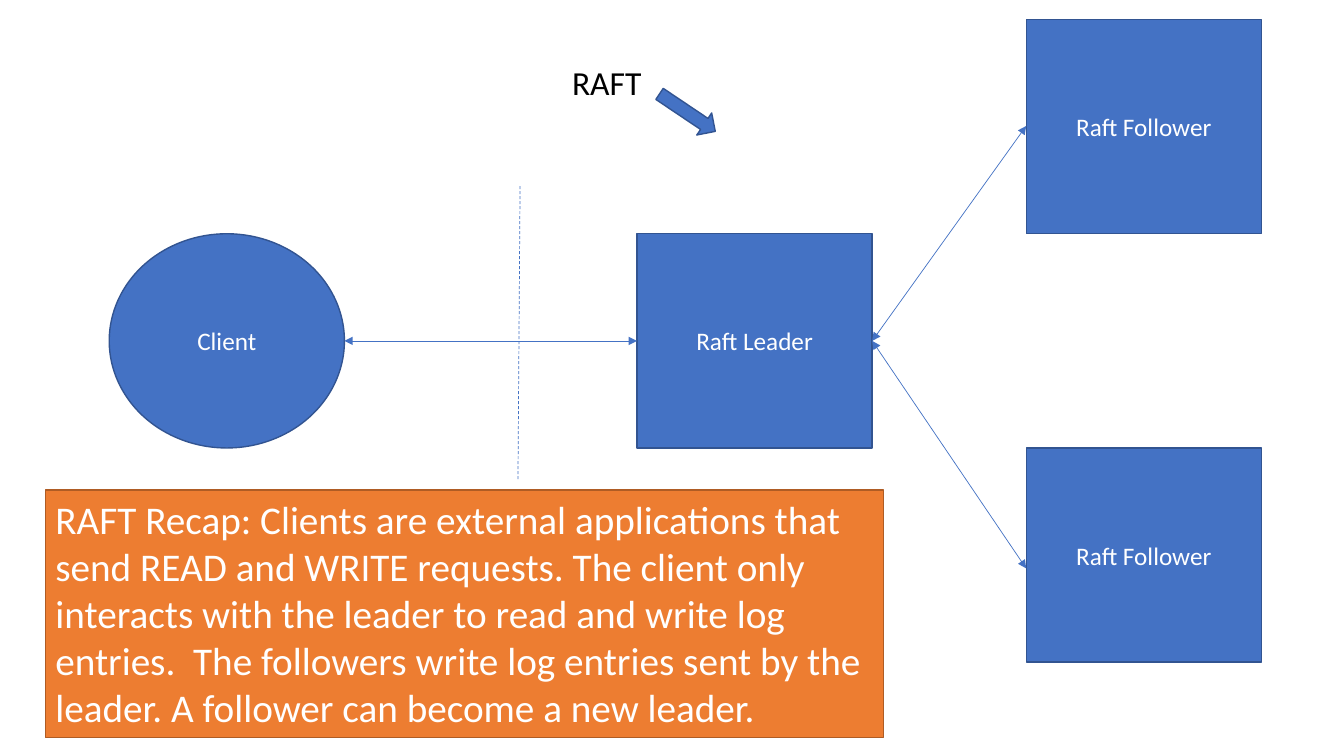
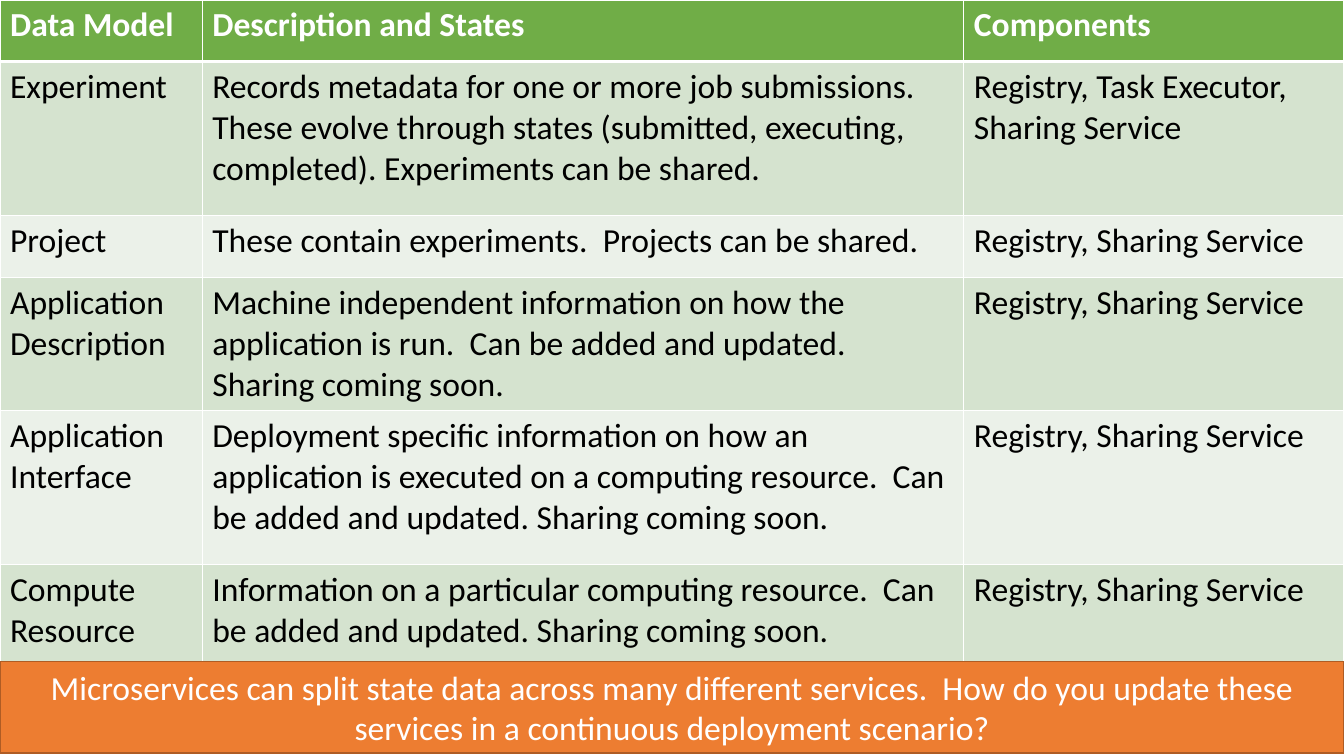
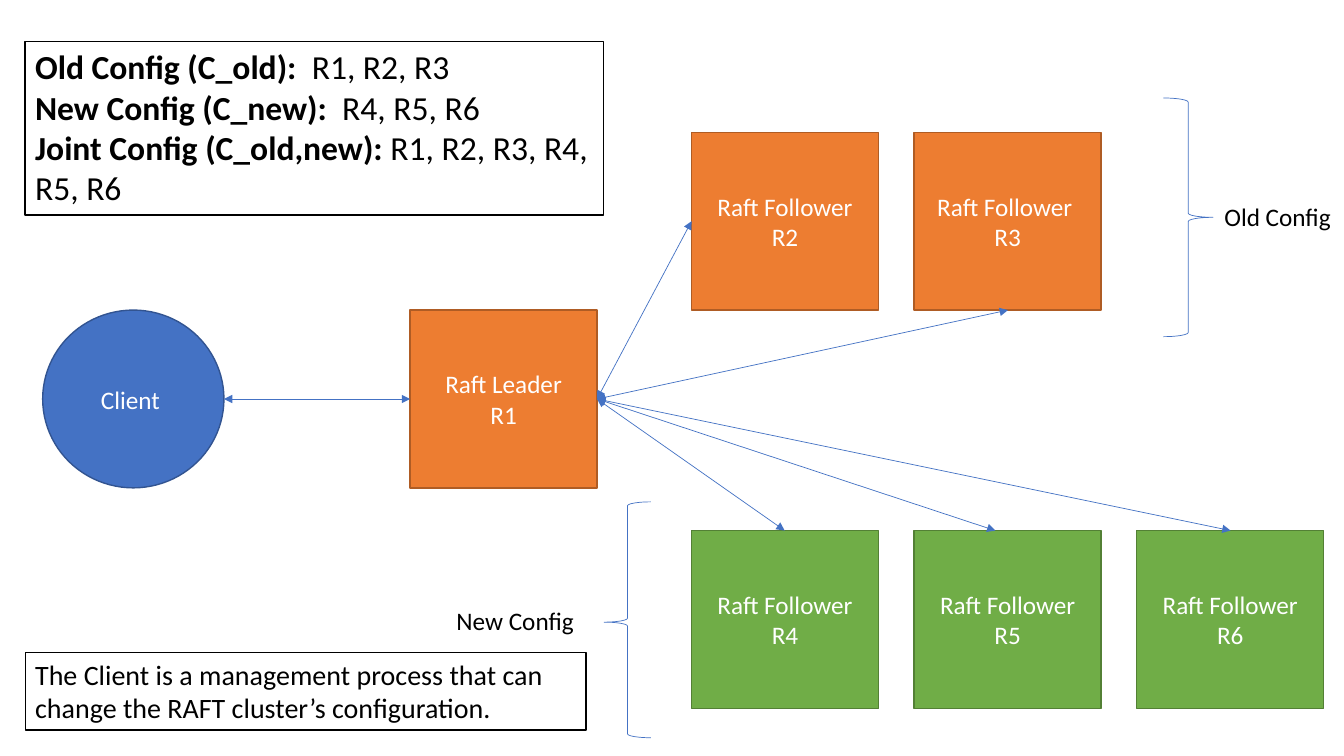
"""Build three slides on Raft clusters and the state of a service data model."""
from lxml.etree import SubElement
from pptx import Presentation
from pptx.dml.color import RGBColor
from pptx.enum.dml import MSO_LINE
from pptx.enum.shapes import MSO_CONNECTOR, MSO_SHAPE
from pptx.enum.text import MSO_ANCHOR, MSO_AUTO_SIZE, PP_ALIGN
from pptx.oxml.ns import qn
from pptx.util import Pt

COLORS = {
    "blue": "4472C4", "blue_edge": "325491",
    "orange": "ED7D31", "orange_edge": "AF5C24",
    "green": "70AD47", "green_edge": "538035",
    "white": "FFFFFF", "white_edge": "000000", "black": "000000",
    "band_dark": "D5E3CF", "band_light": "EBF1E9",
}
GROWING = {"auto_size": MSO_AUTO_SIZE.SHAPE_TO_FIT_TEXT, "vertical_anchor": MSO_ANCHOR.TOP}
CENTRED = {"vertical_anchor": MSO_ANCHOR.MIDDLE}
SHARING = "Registry, Sharing Service"
DATA_MODEL = [
    ("Data Model", "Description and States", "Components"),
    ("Experiment",
     "Records metadata for one or more job submissions.  These evolve through states "
     "(submitted, executing, completed). Experiments can be shared.",
     "Registry, Task Executor, Sharing Service"),
    ("Project", "These contain experiments.  Projects can be shared.", SHARING),
    ("Application Description",
     "Machine independent information on how the application is run.  "
     "Can be added and updated. Sharing coming soon.", SHARING),
    ("Application Interface",
     "Deployment specific information on how an application is executed on a computing "
     "resource.  Can be added and updated. Sharing coming soon.", SHARING),
    ("Compute Resource",
     "Information on a particular computing resource.  "
     "Can be added and updated. Sharing coming soon.", SHARING),
]


def color(name):
    return RGBColor.from_string(COLORS[name])


def apply_format(target, values):
    for name, value in values.items():
        setattr(target, name, value)


def write(text_frame, lines, size, color_name="white", align=PP_ALIGN.LEFT, bold=False):
    for index, line in enumerate(lines):
        paragraph = text_frame.paragraphs[0] if index == 0 else text_frame.add_paragraph()
        paragraph.alignment = align
        runs = [(line, bold)] if isinstance(line, str) else zip(line, (True, False))
        for text, is_bold in runs:
            run = paragraph.add_run()
            run.text = text
            apply_format(run.font, {"name": "Calibri", "size": Pt(size), "bold": is_bold})
            run.font.color.rgb = color(color_name)


def add_preset(slide, kind, box, fill="blue"):
    shape = slide.shapes.add_shape(kind, *map(Pt, box))
    shape.shadow.inherit = False
    shape.fill.solid()
    shape.fill.fore_color.rgb = color(fill)
    shape.line.color.rgb = color(fill + "_edge")
    shape.line.width = Pt(1)
    return shape


def add_node(slide, box, lines, fill="blue", kind=MSO_SHAPE.RECTANGLE):
    shape = add_preset(slide, kind, box, fill)
    apply_format(shape.text_frame, CENTRED)
    write(shape.text_frame, lines, 18, align=PP_ALIGN.CENTER)


def add_panel(slide, box, lines, size, fill="orange", text="white", align=PP_ALIGN.LEFT):
    shape = add_preset(slide, MSO_SHAPE.RECTANGLE, box, fill)
    apply_format(shape.text_frame, {"word_wrap": True, **GROWING})
    write(shape.text_frame, lines, size, text, align)


def add_label(slide, box, text, size):
    shape = slide.shapes.add_textbox(*map(Pt, box))
    apply_format(shape.text_frame, {"word_wrap": False, **GROWING})
    write(shape.text_frame, [text], size, "black")


def add_line(slide, start, end, dashed=False):
    line = slide.shapes.add_connector(MSO_CONNECTOR.STRAIGHT, *map(Pt, start + end))
    line.line.color.rgb = color("blue")
    line.line.width = Pt(0.5)
    properties = line.line._get_or_add_ln()
    if dashed:
        line.line.dash_style = MSO_LINE.DASH
    else:
        for tag in ("a:headEnd", "a:tailEnd"):
            SubElement(properties, qn(tag), type="triangle")
    SubElement(line._element.spPr, qn("a:effectLst"))


def add_brace(slide, kind, box, tip=0.5):
    brace = add_preset(slide, kind, box)
    brace.fill.background()
    brace.line.color.rgb = color("blue")
    brace.line.width = Pt(0.5)
    brace.adjustments[1] = tip


def set_borders(cell, widths):
    properties = cell._tc.get_or_add_tcPr()
    for position, (side, width) in enumerate(widths.items()):
        border = SubElement(properties, qn("a:ln" + side), w=str(Pt(width)))
        fill = SubElement(border, qn("a:solidFill"))
        SubElement(fill, qn("a:srgbClr"), val=COLORS["white"])
        properties.insert(position, border)


def add_data_table(slide, rows, widths, heights):
    frame = slide.shapes.add_table(len(rows), len(widths), 0, 0, Pt(sum(widths)), Pt(sum(heights)))
    table = frame.table
    for column, width in zip(table.columns, widths):
        column.width = Pt(width)
    for index, (row, height, texts) in enumerate(zip(table.rows, heights, rows)):
        row.height = Pt(height)
        header = index == 0
        fill = "green" if header else ("band_light", "band_dark")[index % 2]
        borders = {"L": 1, "R": 1, "T": 3 if index == 1 else 1, "B": 3 if header else 1}
        for cell, text in zip(row.cells, texts):
            cell.fill.solid()
            cell.fill.fore_color.rgb = color(fill)
            set_borders(cell, borders)
            write(cell.text_frame, [text], 24, "white" if header else "black", bold=header)


def build_recap(slide):
    width, height, top = 168, 153, 14
    middle, bottom = top + height, top + 2 * height
    client, leader, follower = 78, 455, 733
    center = middle + height / 2
    add_node(slide, (client, middle, width, height), ["Client"], kind=MSO_SHAPE.OVAL)
    add_node(slide, (leader, middle, width, height), ["Raft Leader"])
    for y in (top, bottom):
        add_node(slide, (follower, y, width, height), ["Raft Follower"])
    add_line(slide, (client + width, center), (leader, center))
    for y in (90, 406):
        add_line(slide, (leader + width, center), (follower, y))
    add_panel(slide, (32.5, 350, 598.5, 177), [
        "RAFT Recap: Clients are external applications that send READ and WRITE requests. "
        "The client only interacts with the leader to read and write log entries.  "
        "The followers write log entries sent by the leader. "
        "A follower can become a new leader."], 28)
    add_line(slide, (371.5, 133), (370, 343.5), dashed=True)
    add_label(slide, (401.5, 41, 65, 36), "RAFT", 24)
    arrow = add_preset(slide, MSO_SHAPE.RIGHT_ARROW, (467, 71, 48, 19))
    arrow.rotation = 33.9


def build_data_model(slide):
    add_data_table(slide, DATA_MODEL, (144.5, 544, 271.5), (44, 110, 44, 77, 110, 77))
    add_panel(slide, (0, 472.5, 960, 65.5), [
        "Microservices can split state data across many different services.  "
        "How do you update these services in a continuous deployment scenario?"],
        24, align=PP_ALIGN.CENTER)


def build_joint_config(slide):
    width, height, step = 133.5, 127, 159
    old_top, leader_top, new_top = 94.5, 221.5, 379
    client, client_width, leader, first = 30.5, 129.5, 293, 494
    center = leader_top + height / 2
    hub = (leader + width, center)
    add_node(slide, (leader, leader_top, width, height), ["Raft Leader", "R1"], "orange")
    followers = [
        ("R2", 0, old_top, "orange", "Raft Follower"),
        ("R3", 1, old_top, "orange", "Raft Follower "),
        ("R4", 0, new_top, "green", "Raft Follower"),
        ("R5", 1, new_top, "green", "Raft Follower"),
        ("R6", 2, new_top, "green", "Raft Follower"),
    ]
    for name, column, y, fill, role in followers:
        add_node(slide, (first + column * step, y, width, height), [role, name], fill)
    ends = [(first, old_top + height / 2), (720, leader_top),
            (560.5, new_top), (711, new_top), (879, new_top)]
    for end in ends:
        add_line(slide, hub, end)
    add_brace(slide, MSO_SHAPE.RIGHT_BRACE, (831, 70, 35.5, 170.5))
    add_label(slide, (867.5, 140.5, 91.5, 29), "Old Config", 18)
    add_brace(slide, MSO_SHAPE.LEFT_BRACE, (431.5, 358.5, 33.5, 168.5), 0.51)
    add_label(slide, (319, 428.5, 99.5, 29), "New Config", 18)
    add_panel(slide, (18, 29.5, 413, 124), [
        ("Old Config (C_old):  ", "R1, R2, R3"),
        ("New Config (C_new):  ", "R4, R5, R6"),
        ("Joint Config (C_old,new): ", "R1, R2, R3, R4, R5, R6")], 24, "white", "black")
    add_node(slide, (client, leader_top, client_width, height), ["Client "], kind=MSO_SHAPE.OVAL)
    add_line(slide, (client + client_width, center), (leader, center))
    add_panel(slide, (18, 466, 400.5, 55.5), [
        "The Client is a management process that can change the RAFT cluster’s configuration."],
        20, "white", "black")


def main():
    presentation = Presentation()
    apply_format(presentation, {"slide_width": Pt(960), "slide_height": Pt(540)})
    for build in (build_recap, build_data_model, build_joint_config):
        build(presentation.slides.add_slide(presentation.slide_layouts[6]))
    presentation.save("out.pptx")


if __name__ == "__main__":
    main()
